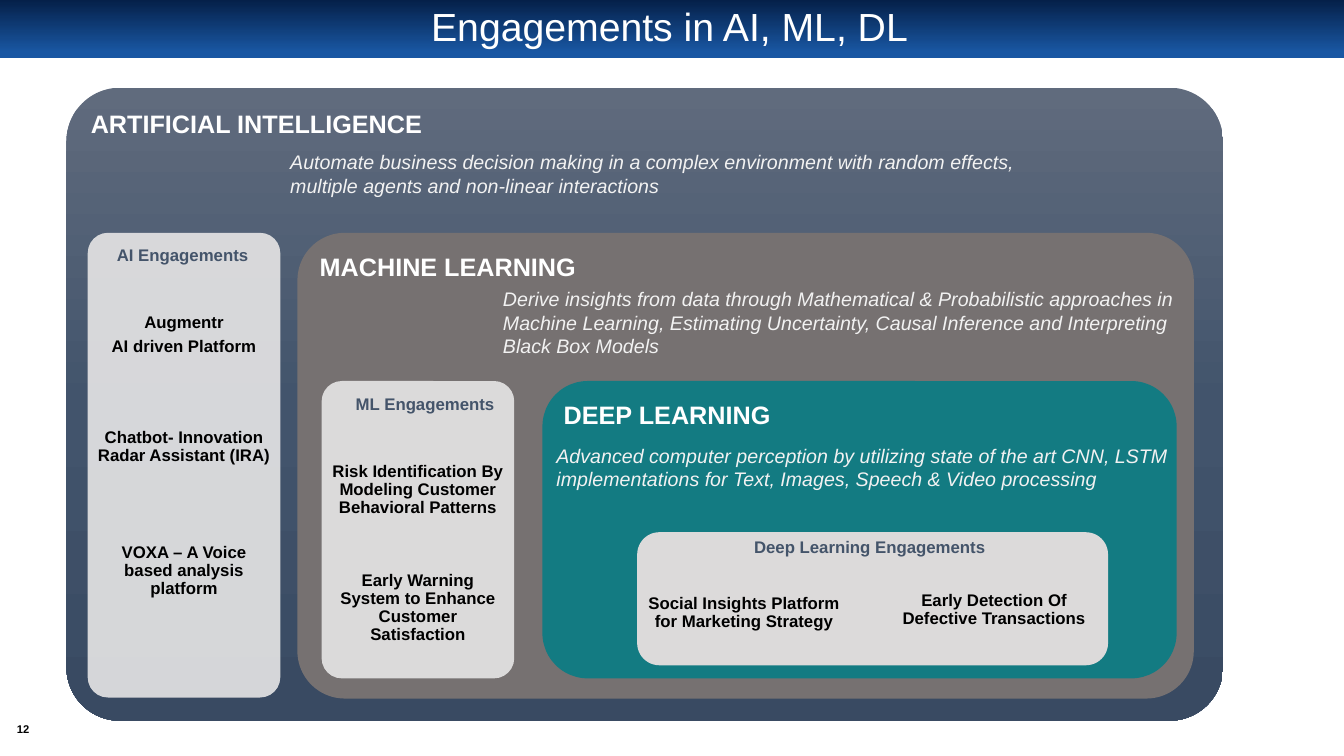
from copy import deepcopy
from dataclasses import dataclass

from lxml import etree
from pptx import Presentation
from pptx.dml.color import RGBColor
from pptx.enum.shapes import MSO_SHAPE as Shape
from pptx.enum.text import MSO_ANCHOR as Anchor, PP_ALIGN as Align
from pptx.oxml.ns import qn
from pptx.util import Inches, Pt


@dataclass(frozen=True)
class Theme:
    font: str = "Arial"
    white: str = "FFFFFF"
    black: str = "000000"
    caption: str = "F2F2F2"
    label: str = "44546A"
    banner: tuple = ((0, "052049"), (0.9, "1957A3"))
    ai: tuple = ((0, "606B7D"), (0.5, "42546C"), (1, "394A62"))
    ml: str = "767171"
    dl: str = "137B82"
    card: str = "E7E6E6"
    dl_card: str = "DCDADA"
    title_size: int = 28
    heading_size: int = 18
    caption_size: int = 14
    body_size: int = 12
    number_size: int = 8


THEME = Theme()
LINE_SPACING = 0.9
CORNER_TEXT_INSET = 0.29
CARD_OPACITY = 90

TITLE = ("Engagements in AI, ML, DL", (0.66, 0.06, 11.96, 0.45))
SLIDE_NUMBER = ("12", (0.08, 7.14, 0.3, 0.19))

FIELDS = [
    ("ARTIFICIAL INTELLIGENCE", (0.66, 0.87, 11.47, 6.28), 0.53, THEME.ai, 0.24),
    ("MACHINE LEARNING", (2.95, 2.31, 8.89, 4.62), 0.47, THEME.ml, 0.22),
    ("DEEP LEARNING", (5.38, 3.78, 6.29, 2.95), 0.45, THEME.dl, 0.21),
]

CAPTIONS = [
    ("Automate business decision making in a complex environment with random effects, "
     "multiple agents and non-linear interactions", (2.78, 1.44, 7.72, 0.57)),
    ("Derive insights from data through Mathematical & Probabilistic approaches in "
     "Machine Learning, Estimating Uncertainty, Causal Inference and Interpreting "
     "Black Box Models", (4.89, 2.8, 7.03, 0.81)),
    ("Advanced computer perception by utilizing state of the art CNN, LSTM "
     "implementations for Text, Images, Speech & Video processing", (5.42, 4.35, 6.42, 0.57)),
]

CARDS = [
    ((0.87, 2.31, 1.91, 4.61), 0.8, [
        ("Augmentr", 0),
        ("AI driven Platform", 4.7),
        ("Chatbot- Innovation Radar Assistant (IRA)", 52),
        ("VOXA – A Voice based analysis platform", 56),
    ]),
    ((3.19, 3.78, 1.91, 2.95), 0.81, [
        ("Risk Identification By Modeling Customer Behavioral Patterns", 0),
        ("Early Warning System to Enhance Customer Satisfaction", 39),
    ]),
]
CARD_RADIUS = 0.2
CARD_PADDING = 0.1

DL_CARD = (6.32, 5.28, 4.67, 1.32)
DL_CARD_RADIUS = 0.22

LABELS = [
    ("AI Engagements", (1.06, 2.38, 1.52, 0.3)),
    ("ML Engagements", (3.43, 3.86, 1.59, 0.3)),
    ("Deep Learning Engagements", (7.38, 5.28, 2.52, 0.3)),
]

DL_ENGAGEMENTS = [
    ("Social Insights Platform for Marketing Strategy", (6.2, 5.85, 2.36, 0.46)),
    ("Early Detection Of Defective Transactions", (8.68, 5.82, 2.36, 0.46)),
]


def style_paragraph(paragraph, size, color, bold=False, italic=False,
                    align=Align.LEFT, spacing=1.0):
    paragraph.alignment = align
    paragraph.line_spacing = spacing
    for run in paragraph.runs:
        run.font.name = THEME.font
        run.font.size = Pt(size)
        run.font.bold = bold
        run.font.italic = italic
        run.font.color.rgb = RGBColor.from_string(color)


def set_margins(frame, left, top, right, bottom):
    frame.margin_left, frame.margin_top = Inches(left), Inches(top)
    frame.margin_right, frame.margin_bottom = Inches(right), Inches(bottom)


def paint(shape, color):
    if isinstance(color, str):
        shape.fill.solid()
        shape.fill.fore_color.rgb = RGBColor.from_string(color)
        return
    shape.fill.gradient()
    shape.fill.gradient_angle = 270
    stop_list = shape.fill.gradient_stops
    stop_parent = shape._element.spPr.find(".//" + qn("a:gsLst"))
    for _ in range(len(color) - len(stop_list)):
        stop_parent.append(deepcopy(stop_parent[0]))
    for stop, (position, value) in zip(shape.fill.gradient_stops, color):
        stop.position = position
        stop.color.rgb = RGBColor.from_string(value)


def add_panel(slide, box, color, radius=0.0):
    kind = Shape.ROUNDED_RECTANGLE if radius else Shape.RECTANGLE
    shape = slide.shapes.add_shape(kind, *map(Inches, box))
    if radius:
        shape.adjustments[0] = radius / min(box[2:])
    shape.shadow.inherit = False
    shape.line.fill.background()
    paint(shape, color)
    return shape


def add_text(slide, text, box, size, color, wrap=True, anchor=Anchor.TOP, **style):
    shape = slide.shapes.add_textbox(*map(Inches, box))
    frame = shape.text_frame
    frame.word_wrap = wrap
    frame.vertical_anchor = anchor
    frame.text = text
    style_paragraph(frame.paragraphs[0], size, color, **style)
    return frame


def add_field(slide, heading, box, radius, color, padding):
    frame = add_panel(slide, box, color, radius).text_frame
    inset = padding - CORNER_TEXT_INSET * radius
    set_margins(frame, inset, inset, inset, 0)
    frame.word_wrap = True
    frame.vertical_anchor = Anchor.TOP
    frame.text = heading
    style_paragraph(frame.paragraphs[0], THEME.heading_size, THEME.white,
                    bold=True, spacing=LINE_SPACING)


def add_card(slide, box, text_top, entries):
    shape = add_panel(slide, box, THEME.card, CARD_RADIUS)
    color = shape._element.spPr.find(qn("a:solidFill"))[0]
    etree.SubElement(color, qn("a:alpha")).set("val", str(CARD_OPACITY * 1000))
    frame = shape.text_frame
    corner = CORNER_TEXT_INSET * CARD_RADIUS
    side = CARD_PADDING - corner
    set_margins(frame, side, text_top - corner, side, 0)
    frame.word_wrap = True
    frame.vertical_anchor = Anchor.TOP
    for index, (text, gap) in enumerate(entries):
        paragraph = frame.add_paragraph() if index else frame.paragraphs[0]
        paragraph.text = text
        style_paragraph(paragraph, THEME.body_size, THEME.black, bold=True,
                        align=Align.CENTER, spacing=LINE_SPACING)
        if gap:
            paragraph.space_before = Pt(gap)


def main():
    presentation = Presentation()
    presentation.slide_width = Inches(13.33)
    presentation.slide_height = Inches(7.5)
    slide = presentation.slides.add_slide(presentation.slide_layouts[6])

    add_panel(slide, (0, 0, 13.33, 0.58), THEME.banner)
    number = add_text(slide, *SLIDE_NUMBER, THEME.number_size, THEME.black, wrap=False,
                      anchor=Anchor.MIDDLE, bold=True, align=Align.CENTER)
    set_margins(number, 0, 0, 0, 0)
    add_text(slide, *TITLE, THEME.title_size, THEME.white, anchor=Anchor.MIDDLE,
             align=Align.CENTER, spacing=LINE_SPACING)

    for field in FIELDS:
        add_field(slide, *field)
    for text, box in CAPTIONS:
        add_text(slide, text, box, THEME.caption_size, THEME.caption, italic=True)
    for card in CARDS:
        add_card(slide, *card)
    add_panel(slide, DL_CARD, THEME.dl_card, DL_CARD_RADIUS)
    for text, box in LABELS:
        add_text(slide, text, box, THEME.body_size, THEME.label, wrap=False, bold=True)
    for text, box in DL_ENGAGEMENTS:
        add_text(slide, text, box, THEME.body_size, THEME.black, bold=True,
                 align=Align.CENTER, spacing=LINE_SPACING)

    presentation.save("out.pptx")


if __name__ == "__main__":
    main()
